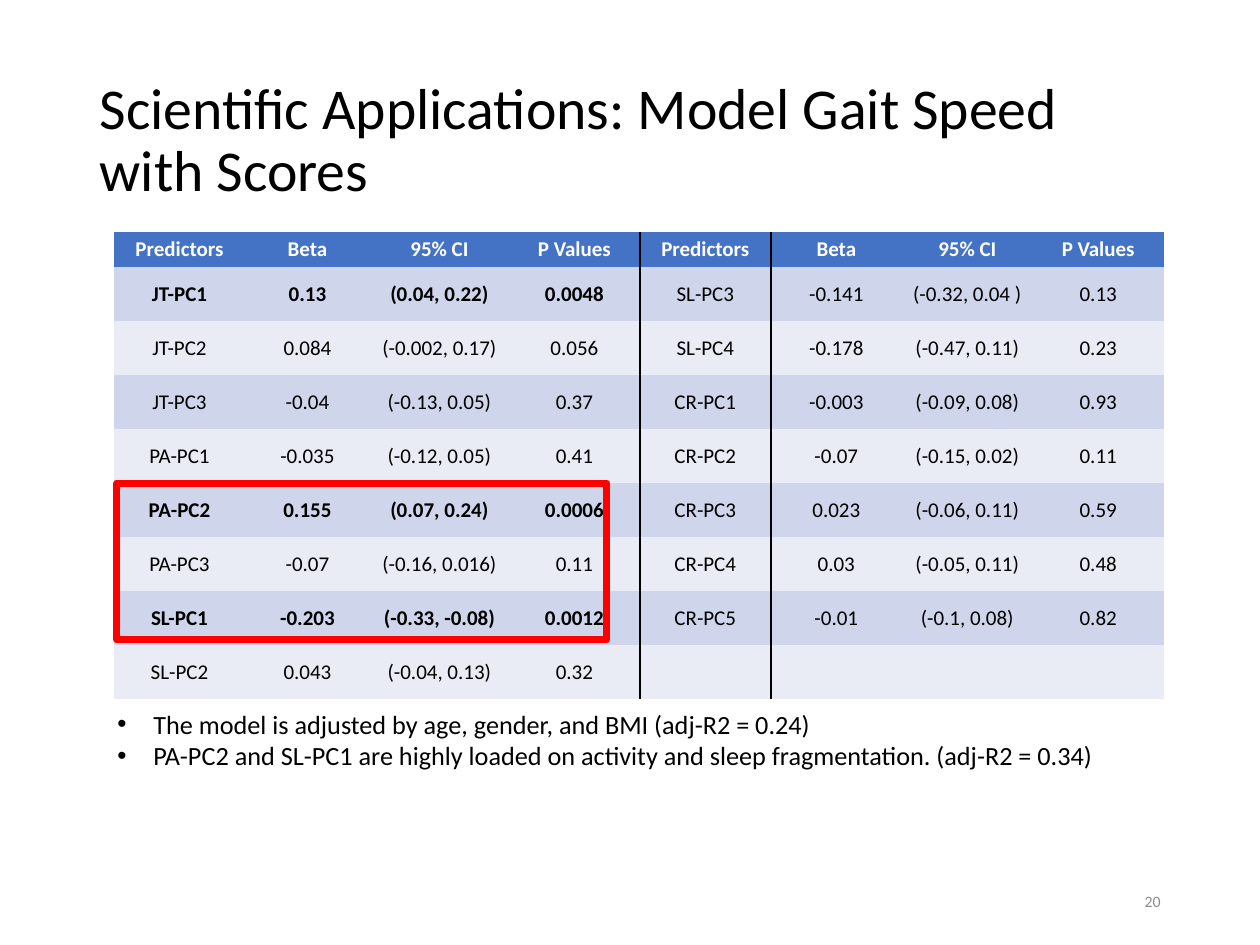
from lxml import etree
from pptx import Presentation
from pptx.dml.color import RGBColor
from pptx.enum.shapes import MSO_SHAPE
from pptx.enum.text import MSO_ANCHOR, MSO_AUTO_SIZE, PP_ALIGN
from pptx.oxml.ns import qn
from pptx.util import Pt

LEFT, CENTER, RIGHT = PP_ALIGN.LEFT, PP_ALIGN.CENTER, PP_ALIGN.RIGHT
MIDDLE = MSO_ANCHOR.MIDDLE
NO_FIT = MSO_AUTO_SIZE.NONE
RECT = MSO_SHAPE.RECTANGLE
FONT = "Calibri"
BLACK, WHITE, RED, GRAY = "000000", "FFFFFF", "FF0000", "8C8C8C"
HEADER, BANDS = "4472C4", ("CFD5EA", "E9EBF5")
NO_STYLE = "{2D5ABB26-0587-4C30-8999-92F81FD0307C}"

TITLE = "Scientific Applications: Model Gait Speed with Scores"
HEADINGS = ["Predictors", "Beta", "95% CI", "P Values"]
LEFT_HALF = [
    ("JT-PC1", "0.13", "(0.04, 0.22)", "0.0048"),
    ("JT-PC2", "0.084", "(-0.002, 0.17)", "0.056"),
    ("JT-PC3", "-0.04", "(-0.13, 0.05)", "0.37"),
    ("PA-PC1", "-0.035", "(-0.12, 0.05)", "0.41"),
    ("PA-PC2", "0.155", "(0.07, 0.24)", "0.0006"),
    ("PA-PC3", "-0.07", "(-0.16, 0.016)", "0.11"),
    ("SL-PC1", "-0.203", "(-0.33, -0.08)", "0.0012"),
    ("SL-PC2", "0.043", "(-0.04, 0.13)", "0.32"),
]
RIGHT_HALF = [
    ("SL-PC3", "-0.141", "(-0.32, 0.04 )", "0.13"),
    ("SL-PC4", "-0.178", "(-0.47, 0.11)", "0.23"),
    ("CR-PC1", "-0.003", "(-0.09, 0.08)", "0.93"),
    ("CR-PC2", "-0.07", "(-0.15, 0.02)", "0.11"),
    ("CR-PC3", "0.023", "(-0.06, 0.11)", "0.59"),
    ("CR-PC4", "0.03", "(-0.05, 0.11)", "0.48"),
    ("CR-PC5", "-0.01", "(-0.1, 0.08)", "0.82"),
    ("", "", "", ""),
]
SIGNIFICANT = {"JT-PC1", "PA-PC2", "SL-PC1"}
NOTES = [
    "The model is adjusted by age, gender, and BMI (adj-R2 = 0.24)",
    "PA-PC2 and SL-PC1 are highly loaded on activity and sleep fragmentation. (adj-R2 = 0.34)",
]
COL_WIDTHS = [131, 125, 139] + [131] * 5
ROW_HEIGHTS = [35] + [54] * len(LEFT_HALF)


def px(n):
    return n * 914400 // 126


def rgb(color):
    return RGBColor.from_string(color)


def place(s, x, y, w, h):
    s.left, s.top, s.width, s.height = px(x), px(y), px(w), px(h)


def add_text(p, text, size, color=BLACK, align=LEFT, bold=False):
    p.alignment = align
    r = p.add_run()
    r.text = text
    r.font.name, r.font.size, r.font.bold = FONT, Pt(size), bold
    r.font.color.rgb = rgb(color)


def add_box(slide, x, y, w, h):
    s = slide.shapes.add_textbox(px(x), px(y), px(w), px(h))
    s.text_frame.word_wrap = True
    return s.text_frame


def add_border(cell, side):
    ln = etree.Element(qn("a:" + side), w=str(Pt(1)))
    fill = etree.SubElement(ln, qn("a:solidFill"))
    etree.SubElement(fill, qn("a:srgbClr"), val=BLACK)
    cell._tc.get_or_add_tcPr().insert(0, ln)


def add_bullet(p):
    pPr = p._p.get_or_add_pPr()
    pPr.set("marL", str(px(36)))
    pPr.set("indent", str(-px(36)))
    etree.SubElement(pPr, qn("a:buFont"), typeface="Arial")
    etree.SubElement(pPr, qn("a:buChar"), char="•")


def fill_cell(cell, text, fill, color, bold):
    cell.fill.solid()
    cell.fill.fore_color.rgb = rgb(fill)
    cell.vertical_anchor = MIDDLE
    cell.margin_left = cell.margin_right = px(9)
    cell.margin_top = cell.margin_bottom = px(5)
    if text:
        add_text(cell.text_frame.paragraphs[0], text, 12, color, CENTER, bold)


def add_results(slide):
    rows = [HEADINGS * 2] + [a + b for a, b in zip(LEFT_HALF, RIGHT_HALF)]
    table = slide.shapes.add_table(
        len(rows), len(COL_WIDTHS), px(114), px(232),
        px(sum(COL_WIDTHS)), px(sum(ROW_HEIGHTS))).table
    table._tbl.tblPr.find(qn("a:tableStyleId")).text = NO_STYLE
    for col, width in zip(table.columns, COL_WIDTHS):
        col.width = px(width)
    half = len(HEADINGS)
    for i, values in enumerate(rows):
        table.rows[i].height = px(ROW_HEIGHTS[i])
        fill = BANDS[(i - 1) % 2] if i else HEADER
        color = BLACK if i else WHITE
        for j, text in enumerate(values):
            predictor = values[j // half * half]
            bold = i == 0 or predictor in SIGNIFICANT
            fill_cell(table.cell(i, j), text, fill, color, bold)
        add_border(table.cell(i, half - 1), "lnR")
        add_border(table.cell(i, half), "lnL")


def main():
    prs = Presentation()
    prs.slide_width, prs.slide_height = px(1260), px(945)
    slide = prs.slides.add_slide(prs.slide_layouts[5])

    title = slide.shapes.title
    place(title, 87, 50, 1086, 183)
    tf = title.text_frame
    tf.auto_size, tf.vertical_anchor, tf.word_wrap = NO_FIT, MIDDLE, True
    tf.paragraphs[0].line_spacing = 0.9
    add_text(tf.paragraphs[0], TITLE, 33)

    page = add_box(slide, 890, 876, 283, 50)
    page.vertical_anchor = MIDDLE
    add_text(page.paragraphs[0], "20", 9, GRAY, RIGHT)

    add_results(slide)

    notes = add_box(slide, 105, 702, 1009, 77)
    for i, note in enumerate(NOTES):
        p = notes.add_paragraph() if i else notes.paragraphs[0]
        add_bullet(p)
        add_text(p, note, 15)

    frame = slide.shapes.add_shape(RECT, px(117), px(483), px(490), px(157))
    frame.shadow.inherit = False
    frame.fill.background()
    frame.line.color.rgb = rgb(RED)
    frame.line.width = Pt(4)

    prs.save("out.pptx")


if __name__ == "__main__":
    main()
